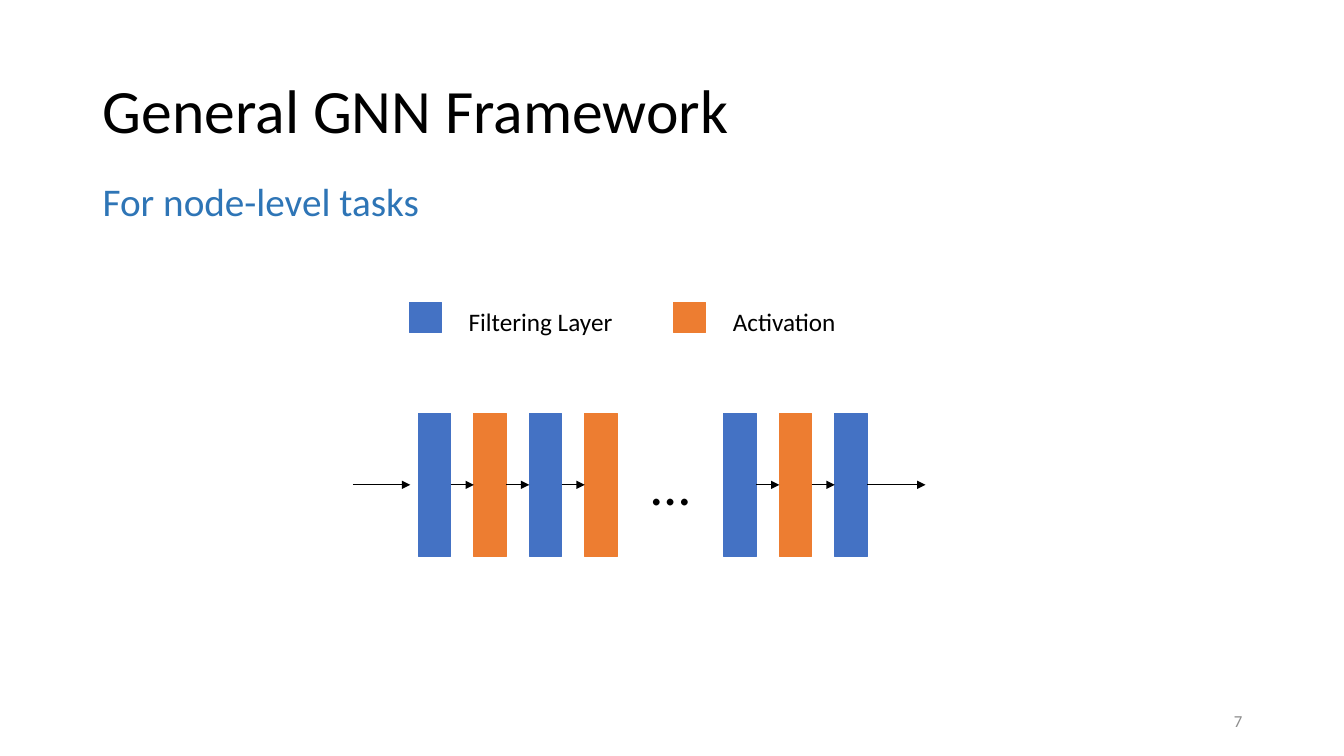
from itertools import pairwise

from lxml import etree
from pptx import Presentation
from pptx.dml.color import RGBColor
from pptx.enum.shapes import MSO_CONNECTOR, MSO_SHAPE
from pptx.enum.text import MSO_ANCHOR, MSO_AUTO_SIZE, PP_ALIGN
from pptx.oxml.ns import qn
from pptx.util import Pt

PX = 9144  # 100 px to the inch
FONT = "Calibri"
COLORS = {
    "filter": "4472C4",
    "activation": "ED7D31",
    "subtitle": "2E75B6",
    "text": "000000",
    "number": "8C8C8C",
}
RECTANGLE = MSO_SHAPE.RECTANGLE
STRAIGHT = MSO_CONNECTOR.STRAIGHT
LEFT, RIGHT = PP_ALIGN.LEFT, PP_ALIGN.RIGHT
TOP, MIDDLE = MSO_ANCHOR.TOP, MSO_ANCHOR.MIDDLE
NO_AUTOFIT = MSO_AUTO_SIZE.NONE
LEFT_SIDE, RIGHT_SIDE = 1, 3


def emu(*lengths):
    return [length * PX for length in lengths]


def rgb(name):
    return RGBColor.from_string(COLORS[name])


def write(shape, text, size, color="text", align=LEFT, anchor=TOP, wrap=True):
    frame = shape.text_frame
    frame.auto_size = NO_AUTOFIT
    frame.word_wrap = wrap
    frame.vertical_anchor = anchor
    para = frame.paragraphs[0]
    para.text = text
    para.alignment = align
    para.font.name = FONT
    para.font.size = Pt(size)
    para.font.color.rgb = rgb(color)
    return para


def add_text(page, box, text, size, **style):
    write(page.shapes.add_textbox(*emu(*box)), text, size, **style)


def add_block(page, box, color):
    block = page.shapes.add_shape(RECTANGLE, *emu(*box))
    block.shadow.inherit = False
    block.fill.solid()
    block.fill.fore_color.rgb = rgb(color)
    block.line.color.rgb = rgb(color)
    block.line.width = Pt(0.75)
    return block


def add_arrow(page, start, end):
    arrow = page.shapes.add_connector(STRAIGHT, *emu(*start, *end))
    arrow.line.color.rgb = rgb("text")
    arrow.line.width = Pt(0.5)
    etree.SubElement(arrow.line._get_or_add_ln(), qn("a:tailEnd"), type="triangle")
    etree.SubElement(arrow._element.spPr, qn("a:effectLst"))
    return arrow


def add_heading(page, box):
    left, top, width, height = box
    title = page.shapes.title
    title.left, title.top, title.width, title.height = emu(*box)
    para = write(title, "General GNN Framework", 44, anchor=MIDDLE)
    para.line_spacing = 0.9
    add_text(page, (left, top + 131, 673, 57), "For node-level tasks", 28,
             color="subtitle")


def add_legend(page, box):
    left, top, width, height = box
    entries = [("Filtering Layer", "filter", 164), ("Activation", "activation", 123)]
    for index, (label, color, label_width) in enumerate(entries):
        x = left + index * 262
        add_block(page, (x, top, 32, 30), color)
        add_text(page, (x + 49, top - 1, label_width, height), label, 18, wrap=False)


def add_layer_group(page, box, kinds):
    """Place equally spaced layers joined by arrows; return the layers."""
    left, top, width, height = box
    pitch = 55
    layers = [
        add_block(page, (left + index * pitch, top, 32, height), kind)
        for index, kind in enumerate(kinds)
    ]
    for before, after in pairwise(layers):
        arrow = add_arrow(page, (left, top), (left, top))
        arrow.begin_connect(before, RIGHT_SIDE)
        arrow.end_connect(after, LEFT_SIDE)
    return layers


def add_pipeline(page, box):
    left, top, width, height = box
    middle = top + height // 2
    add_arrow(page, (left, middle), (left + 57, middle))
    add_layer_group(page, (left + 65, top, 197, height),
                    ["filter", "activation"] * 2)
    add_text(page, (left + 286, top + 31, 130, 77), "…", 40)
    layers = add_layer_group(page, (left + 368, top, 142, height),
                             ["filter", "activation", "filter"])
    output = add_arrow(page, (left + 510, middle), (left + width, middle))
    output.begin_connect(layers[-1], RIGHT_SIDE)


def add_page_number(page, box):
    add_text(page, box, "7", 12, color="number", align=RIGHT, anchor=MIDDLE)


def main():
    deck = Presentation()
    deck.slide_width, deck.slide_height = emu(1333, 750)
    page = deck.slides.add_slide(deck.slide_layouts.get_by_name("Title Only"))
    add_heading(page, (92, 40, 1150, 145))
    add_legend(page, (406, 300, 435, 40))
    add_pipeline(page, (350, 410, 568, 142))
    add_page_number(page, (942, 695, 300, 40))
    deck.save("out.pptx")


if __name__ == "__main__":
    main()
